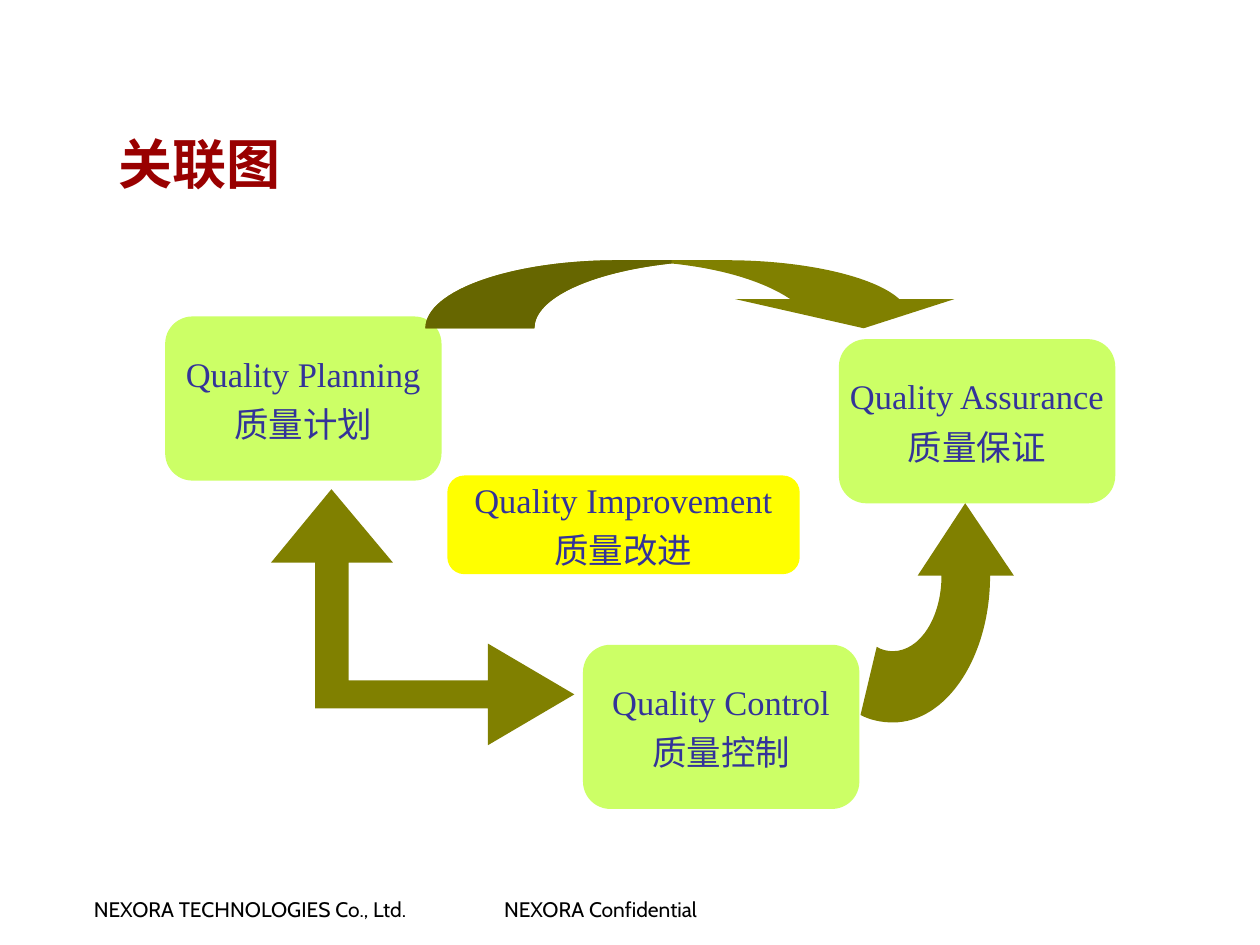
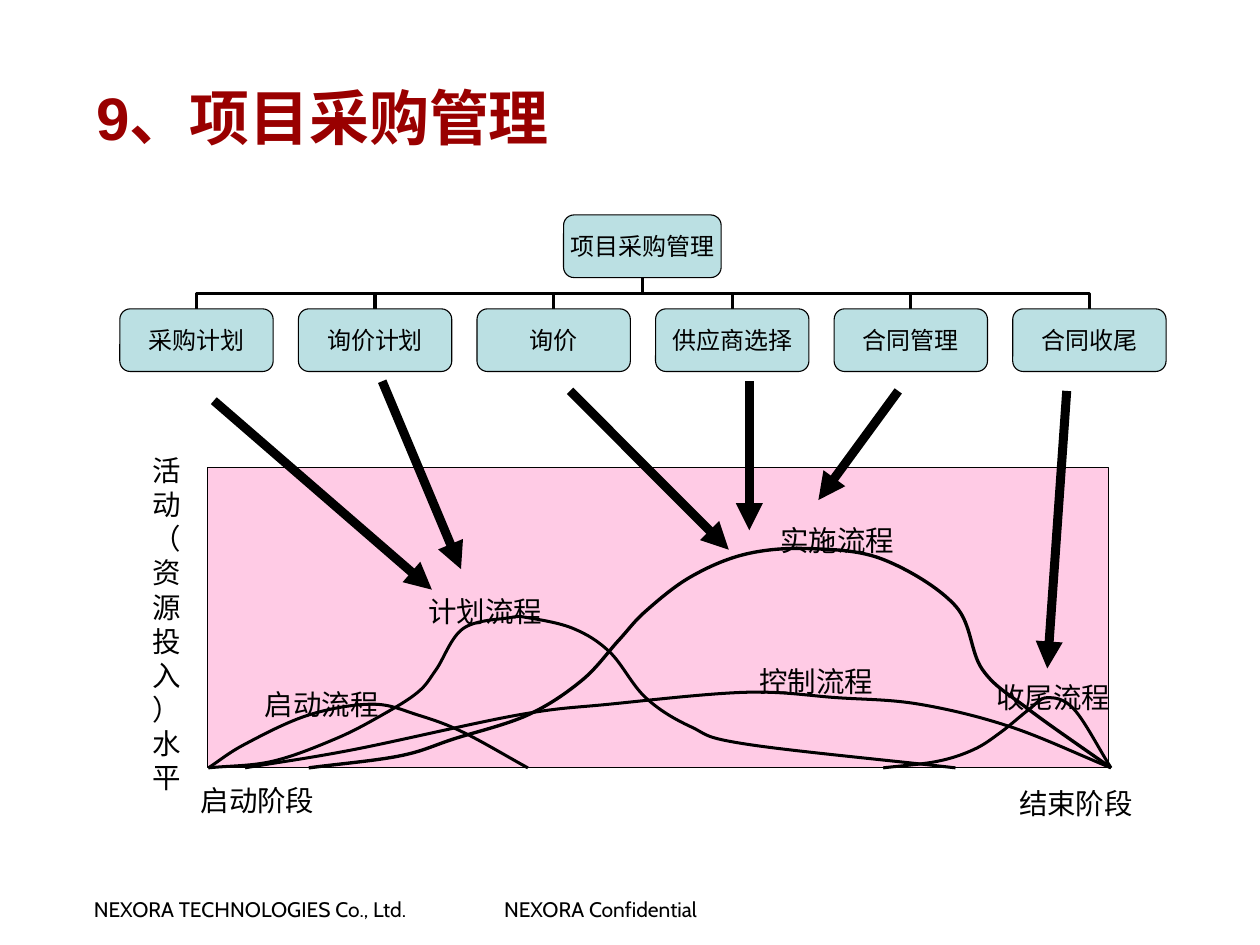
from dataclasses import dataclass
from lxml.etree import SubElement
from pptx import Presentation
from pptx.dml.color import RGBColor
from pptx.enum.shapes import MSO_CONNECTOR, MSO_SHAPE
from pptx.enum.text import MSO_ANCHOR, MSO_AUTO_SIZE, PP_ALIGN
from pptx.oxml.ns import qn
from pptx.util import Inches, Pt


@dataclass(frozen=True)
class Theme:
    ink: str = "000000"
    title: str = "990000"
    navy: str = "333399"
    lime: str = "CCFF66"
    yellow: str = "FFFF00"
    olive: str = "808000"
    aqua: str = "BBE0E3"
    pink: str = "FF99CC"
    sans: str = "Arial"
    serif: str = "Times New Roman"
    plain: str = "DejaVu Sans"
    brand: str = "Cabin"
    cjk: str = "Noto Sans CJK SC"
    foot: int = 14
    node: int = 16
    label: int = 19
    step: int = 23
    head: int = 36
    lead: int = 40


T = Theme()


def rgb(code):
    return RGBColor.from_string(code)


def write(shape, lines, size, face, color=T.ink, align=PP_ALIGN.CENTER,
          bold=False, before=0, pad=None, wrap=False, anchor=MSO_ANCHOR.TOP):
    """Put lines of text in a shape, one paragraph each; pad is (x, y)."""
    frame = shape.text_frame
    frame.text = "\n".join(lines)
    frame.auto_size = MSO_AUTO_SIZE.NONE
    frame.word_wrap = wrap
    frame.vertical_anchor = anchor
    if pad:
        frame.margin_left = frame.margin_right = Inches(pad[0])
        frame.margin_top = frame.margin_bottom = Inches(pad[1])
    for para in frame.paragraphs:
        para.alignment = align
        para.space_before = Pt(before)
        font = para.font
        font.name, font.size, font.bold = face, Pt(size), bold
        font.color.rgb = rgb(color)


def paint(shape, fill=None, line=None, width=0.75):
    shape.shadow.inherit = False
    if fill:
        shape.fill.solid()
        shape.fill.fore_color.rgb = rgb(fill)
    else:
        shape.fill.background()
    if line:
        shape.line.color.rgb = rgb(line)
        shape.line.width = Pt(width)
    else:
        shape.line.fill.background()


def add_box(slide, kind, box, fill, line=None, width=0.75):
    shape = slide.shapes.add_shape(kind, *map(Inches, box))
    paint(shape, fill, line, width)
    return shape


def add_text(slide, box, text, size, face, **style):
    shape = slide.shapes.add_textbox(*map(Inches, box))
    write(shape, [text], size, face, **style)
    return shape


def add_line(slide, start, end, width, kind=MSO_CONNECTOR.STRAIGHT):
    line = slide.shapes.add_connector(kind, *map(Inches, (*start, *end)))
    line.line.color.rgb = rgb(T.ink)
    line.line.width = Pt(width)
    SubElement(line.element.spPr, qn("a:effectLst"))
    return line


def add_arrow(slide, start, tip):
    line = add_line(slide, start, tip, 6)
    edge = line.element.spPr.find(qn("a:ln"))
    SubElement(edge, qn("a:tailEnd"), type="triangle")


def add_elbow(slide, low, high):
    """Join two points by a vertical, horizontal, vertical line."""
    x, y = (low[0] + high[0]) / 2, (low[1] + high[1]) / 2
    half, reach = (low[1] - high[1]) / 2, abs(low[0] - high[0]) / 2
    side, turn = (1, 90) if low[0] < high[0] else (-1, 270)
    line = add_line(slide, (x + side * half, y + reach),
                    (x - side * half, y - reach), 2.25, MSO_CONNECTOR.ELBOW)
    line.element.spPr.find(qn("a:xfrm")).set("rot", str(turn * 60000))


def bend(route, parts, close):
    """Turn line triples into cubic curves; shade each part after the first."""
    marks = iter(list(route))
    for i, (_, *steps) in enumerate(parts):
        goal = route
        if i:
            goal = SubElement(route.getparent(), qn("a:path"), w=route.get("w"),
                              h=route.get("h"), fill="darkenLess")
        goal.append(next(marks))
        for step in steps:
            group = [next(marks) for _ in range(len(step) // 2)]
            if len(group) == 1:
                goal.append(group[0])
                continue
            curve = SubElement(goal, qn("a:cubicBezTo"))
            for mark in group:
                curve.append(mark[0])
                route.remove(mark)
        if close:
            goal.append(next(marks))


def add_outline(slide, *parts, close=True, **look):
    """Draw parts: a start, then steps of two (line) or six (curve) numbers."""
    pen = None
    for start, *steps in parts:
        spot = tuple(map(Inches, start))
        if pen:
            pen.move_to(*spot)
        else:
            pen = slide.shapes.build_freeform(*spot)
        pen.add_line_segments(
            [(Inches(step[i]), Inches(step[i + 1]))
             for step in steps for i in range(0, len(step), 2)], close=close)
    shape = pen.convert_to_shape()
    bend(next(shape.element.iter(qn("a:path"))), parts, close)
    paint(shape, **look)


def add_curve(slide, nodes, width):
    """Draw a smooth open line through the nodes."""
    def mirror(p, q):
        return 2 * p[0] - q[0], 2 * p[1] - q[1]

    run = [mirror(nodes[0], nodes[1]), *nodes, mirror(nodes[-1], nodes[-2])]
    steps = []
    for a, b, c, d in zip(run, run[1:], run[2:], run[3:]):
        steps.append((b[0] + (c[0] - a[0]) / 6, b[1] + (c[1] - a[1]) / 6,
                      c[0] - (d[0] - b[0]) / 6, c[1] - (d[1] - b[1]) / 6, *c))
    add_outline(slide, (nodes[0], *steps), close=False, line=T.ink, width=width)


def add_page(deck, layout, title, box, size, face):
    slide = deck.slides.add_slide(layout)
    head = slide.shapes.title
    head.left, head.top, head.width, head.height = map(Inches, box)
    write(head, [title], size, face, T.title, PP_ALIGN.LEFT, bold=True,
          wrap=True, anchor=MSO_ANCHOR.MIDDLE)
    return slide


def add_footer(slide, layout):
    """Set the footer texts on the layout, so that all slides show them."""
    for left, width, text in ((0.77, 3.38, "NEXORA TECHNOLOGIES Co., Ltd."),
                              (4.57, 2.27, "NEXORA Confidential")):
        shape = add_text(slide, (left, 8.25, width, 0.33), text, T.foot,
                         T.brand, align=PP_ALIGN.LEFT)
        layout.shapes.element.append(shape.element)


def draw_cycle(slide):
    wide, high = 2.56, 1.52
    for box, fill, line, lines in (
            ((4.15, 4.41, 3.25, 0.9), T.yellow, T.yellow,
             ("Quality Improvement", "质量改进")),
            ((1.53, 2.93, wide, high), T.lime, None,
             ("Quality Planning", "质量计划")),
            ((7.77, 3.14, wide, high), T.lime, None,
             ("Quality Assurance", "质量保证")),
            ((5.4, 5.97, wide, high), T.lime, None,
             ("Quality Control", "质量控制"))):
        shape = add_box(slide, MSO_SHAPE.FLOWCHART_ALTERNATE_PROCESS, box,
                        fill, line, 1)
        write(shape, lines, T.step, T.serif, T.navy, before=5.8,
              pad=(0.12, 0.06), anchor=MSO_ANCHOR.MIDDLE)

    tail = (3.94, 3.04)
    rise = (3.94, 2.69, 4.74, 2.41, 5.72, 2.41)
    back = (5.48, 2.52, 4.95, 2.76, 4.95, 3.04)
    add_outline(
        slide,
        (tail, rise, (6.73, 2.41), (7.45, 2.41, 8.1, 2.56, 8.33, 2.77),
         (8.84, 2.77), (8, 3.04), (6.81, 2.77), (7.32, 2.77),
         (7.08, 2.61, 6.7, 2.49, 6.22, 2.44), back),
        (tail, rise, (6.22, 2.41), (6.22, 2.44), back), fill=T.olive)
    add_outline(
        slide,
        ((5.32, 6.43), (4.52, 5.96), (4.52, 6.3), (3.23, 6.3), (3.23, 5.21),
         (3.64, 5.21), (3.07, 4.53), (2.51, 5.21), (2.92, 5.21), (2.92, 6.56),
         (4.52, 6.56), (4.52, 6.9)), fill=T.olive)
    add_outline(
        slide,
        ((8.72, 5.33), (8.72, 5.72, 8.52, 6.03, 8.27, 6.03),
         (8.22, 6.03, 8.17, 6.02, 8.12, 5.99), (7.97, 6.62),
         (8.06, 6.67, 8.17, 6.69, 8.27, 6.69),
         (8.77, 6.69, 9.17, 6.08, 9.17, 5.33), (9.39, 5.33), (8.94, 4.66),
         (8.5, 5.33)), fill=T.olive)


def add_node(slide, mid, top, wide, text):
    shape = add_box(slide, MSO_SHAPE.ROUNDED_RECTANGLE,
                    (mid - wide / 2, top, wide, 0.58), T.aqua, T.ink)
    write(shape, [text], T.node, T.sans, before=4, pad=(0.07, 0.04),
          anchor=MSO_ANCHOR.MIDDLE)


def draw_tree(slide):
    names = ("采购计划", "询价计划", "询价", "供应商选择", "合同管理", "合同收尾")
    root, row, gap = 5.95, 2.86, (10.09 - 1.82) / 5
    mids = [1.82 + gap * i for i in range(len(names))]
    for mid in reversed(mids):
        add_elbow(slide, (mid, row), (root, 2.57))
    add_node(slide, root, 1.99, 1.46, "项目采购管理")
    for mid, name in zip(mids, names):
        add_node(slide, mid, row, 1.42, name)


def draw_flows(slide):
    base, end = 7.11, (10.29, 7.11)
    field = add_box(slide, MSO_SHAPE.RECTANGLE, (1.92, 4.33, 8.35, 2.78),
                    T.pink, T.ink)
    color = field.element.spPr.find(qn("a:solidFill"))[0]
    SubElement(color, qn("a:alpha"), val="50000")

    for width, nodes in (
            (2, [(1.93, base), (2.27, 6.89), (2.86, 6.62), (3.45, 6.52),
                 (3.87, 6.62), (4.29, 6.78), (4.89, base)]),
            (2, [(1.93, base), (2.52, 7.05), (3.11, 6.84), (3.54, 6.62),
                 (3.87, 6.41), (4.04, 6.2), (4.29, 5.82), (4.72, 5.72),
                 (4.89, 5.72), (5.31, 5.82), (5.65, 6.04), (5.98, 6.46),
                 (6.4, 6.73), (6.91, 6.89), (8.85, base)]),
            (2.25, [(2.86, base), (3.7, 7), (4.21, 6.84), (4.89, 6.62),
                    (5.39, 6.3), (5.73, 5.93), (5.98, 5.66), (6.4, 5.34),
                    (6.91, 5.13), (7.5, 5.08), (8.18, 5.18), (8.85, 5.61),
                    (9.1, 6.2), (9.53, 6.57), end]),
            (2, [(2.27, base), (3.28, 6.94), (4.8, 6.62), (5.65, 6.52),
                 (6.91, 6.41), (7.75, 6.46), (8.51, 6.52), (9.36, 6.73), end]),
            (2, [(8.18, base), (8.68, 7.05), (9.02, 6.94), (9.27, 6.78),
                 (9.53, 6.57), (9.7, 6.46), (9.95, 6.57), end])):
        add_curve(slide, nodes, width)

    for left, top, wide, text in (
            (1.74, 7.19, 1.29, "启动阶段"), (2.01, 6.3, 1.94, "启动流程"),
            (3.48, 5.44, 2.03, "计划流程"), (6.7, 4.78, 2.11, "实施流程"),
            (6.42, 6.09, 2.28, "控制流程"), (8.99, 6.24, 1.53, "收尾流程"),
            (9.22, 7.22, 1.49, "结束阶段")):
        add_text(slide, (left, top, wide, 0.43), text, T.label, T.plain,
                 before=4.8, pad=(0.12, 0.06))
    add_text(slide, (1.27, 4.13, 0.54, 3.29), "活动（资源投入）水平", T.label,
             T.plain, before=4.8, pad=(0.11, 0.06), wrap=True,
             anchor=MSO_ANCHOR.MIDDLE)


def draw_links(slide):
    for start, tip in (((1.98, 3.71), (4, 5.46)), ((3.54, 3.53), (4.27, 5.27)),
                       ((5.28, 3.62), (6.75, 5.09)), ((6.94, 3.53), (6.94, 4.91)),
                       ((8.32, 3.62), (7.58, 4.63)), ((9.88, 3.62), (9.7, 6.19))):
        add_arrow(slide, start, tip)


def main():
    deck = Presentation()
    deck.slide_width, deck.slide_height = Inches(11.67), Inches(8.75)
    layout = deck.slide_layouts.get_by_name("Title Only")

    cycle = add_page(deck, layout, "关联图", (1, 0.78, 9.92, 1.46),
                     T.head, T.cjk)
    add_footer(cycle, layout)
    draw_cycle(cycle)

    plan = add_page(deck, layout, "9、项目采购管理", (0.79, 0.35, 10.29, 1.46),
                    T.lead, T.sans)
    draw_tree(plan)
    draw_flows(plan)
    draw_links(plan)
    deck.save("out.pptx")


if __name__ == "__main__":
    main()
